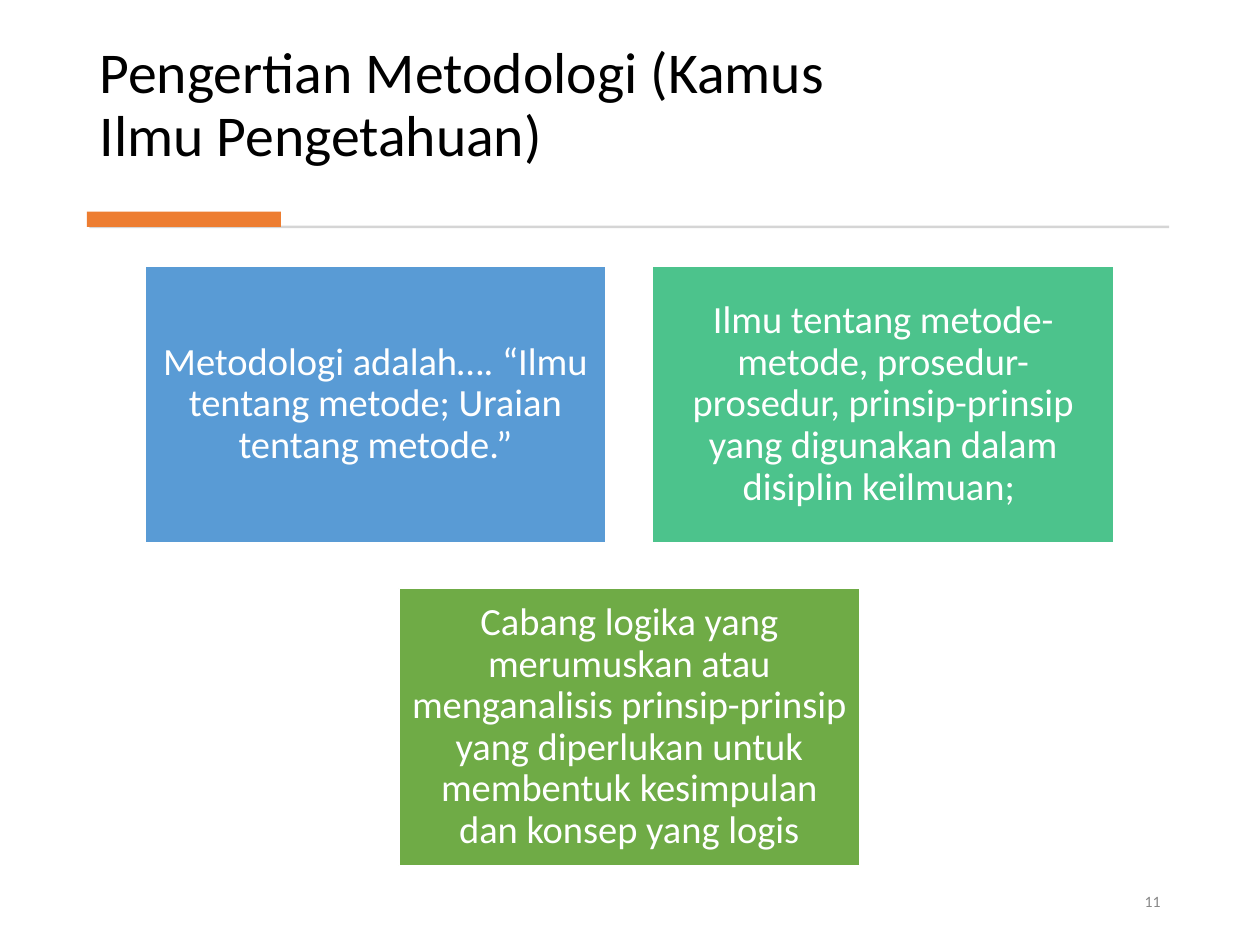
from dataclasses import dataclass

import pptx
import pptx.dml.color
import pptx.enum.shapes
import pptx.enum.text
import pptx.util

Align = pptx.enum.text.PP_ALIGN
Anchor = pptx.enum.text.MSO_ANCHOR
Pt = pptx.util.Pt
Inches = pptx.util.Inches


@dataclass(frozen=True)
class Theme:
    font: str = "Calibri"
    title_size: float = 33
    card_size: float = 22
    number_size: float = 9
    ink: str = "000000"
    paper: str = "FFFFFF"
    muted: str = "888888"
    rule: str = "D5D5D5"
    accent: str = "ED7D31"
    blue: str = "599BD5"
    teal: str = "4CC38C"
    green: str = "6FAB46"


@dataclass(frozen=True)
class Box:
    """A place in percent of the slide's width and height."""
    x: float
    y: float
    w: float
    h: float

    def emu(self) -> list[int]:
        return [round(share * size / 100) for share, size in
                zip((self.x, self.y, self.w, self.h), (SLIDE_W, SLIDE_H) * 2)]


@dataclass(frozen=True)
class Card:
    col: float
    row: int
    fill: str
    text: str


THEME = Theme()
SLIDE_W, SLIDE_H = Inches(10), Inches(7.5)
FIRST_CARD = Box(11.5, 28.13, 36.6, 29.33)
COL_STEP, ROW_STEP = 40.3, 34.13

TITLE = "Pengertian Metodologi (Kamus Ilmu Pengetahuan)"
TITLE_BOX = Box(6.9, 3.73, 67.3, 14.8)
NUMBER_BOX = Box(70.6, 92.67, 22.5, 5.33)
BARS = [
    (Box(7.1, 23.87, 85.7, 0.27), THEME.rule),
    (Box(6.9, 22.4, 15.4, 1.6), THEME.accent),
]
CARDS = [
    Card(0, 0, THEME.blue,
         "Metodologi adalah…. “Ilmu tentang metode; Uraian tentang metode.”"),
    Card(1, 0, THEME.teal,
         "Ilmu tentang metode-metode, prosedur-prosedur, prinsip-prinsip "
         "yang digunakan dalam disiplin keilmuan; "),
    Card(0.5, 1, THEME.green,
         "Cabang logika yang merumuskan atau menganalisis prinsip-prinsip "
         "yang diperlukan untuk membentuk kesimpulan dan konsep yang logis"),
]


def rgb(value: str) -> pptx.dml.color.RGBColor:
    return pptx.dml.color.RGBColor.from_string(value)


def apply(target, values: dict) -> None:
    for name, value in values.items():
        setattr(target, name, value)


def write(sp, text: str, size: float, color: str, align, anchor,
          spacing: float = 1.0, inset: tuple[float, float] = (0.1, 0.05)) -> None:
    tf = sp.text_frame
    across, down = map(Inches, inset)
    apply(tf, {"word_wrap": True, "auto_size": pptx.enum.text.MSO_AUTO_SIZE.NONE,
               "vertical_anchor": anchor, "margin_left": across,
               "margin_right": across, "margin_top": down, "margin_bottom": down})
    p = tf.paragraphs[0]
    apply(p, {"alignment": align, "line_spacing": spacing})
    r = p.add_run()
    r.text = text
    apply(r.font, {"name": THEME.font, "size": Pt(size)})
    r.font.color.rgb = rgb(color)


def add_block(slide, box: Box, fill: str):
    """Add a flat rectangle without an outline."""
    sp = slide.shapes.add_shape(pptx.enum.shapes.MSO_SHAPE.RECTANGLE, *box.emu())
    sp.shadow.inherit = False
    sp.fill.solid()
    sp.fill.fore_color.rgb = rgb(fill)
    sp.line.fill.background()
    return sp


def add_card(slide, card: Card) -> None:
    box = Box(FIRST_CARD.x + card.col * COL_STEP, FIRST_CARD.y + card.row * ROW_STEP,
              FIRST_CARD.w, FIRST_CARD.h)
    sp = add_block(slide, box, card.fill)
    sp.line.color.rgb = rgb(THEME.paper)
    sp.line.width = Pt(1)
    write(sp, card.text, THEME.card_size, THEME.paper, Align.CENTER, Anchor.MIDDLE,
          spacing=0.9, inset=(0.09, 0.09))


def main() -> None:
    prs = pptx.Presentation()
    apply(prs, {"slide_width": SLIDE_W, "slide_height": SLIDE_H})
    slide = prs.slides.add_slide(prs.slide_layouts.get_by_name("Title Only"))

    title = slide.shapes.title
    apply(title, dict(zip(("left", "top", "width", "height"), TITLE_BOX.emu())))
    write(title, TITLE, THEME.title_size, THEME.ink, Align.LEFT, Anchor.BOTTOM,
          spacing=0.9)

    for box, fill in BARS:
        add_block(slide, box, fill)
    for card in CARDS:
        add_card(slide, card)

    number = slide.shapes.add_textbox(*NUMBER_BOX.emu())
    write(number, "11", THEME.number_size, THEME.muted, Align.RIGHT, Anchor.MIDDLE)
    prs.save("out.pptx")


if __name__ == "__main__":
    main()
